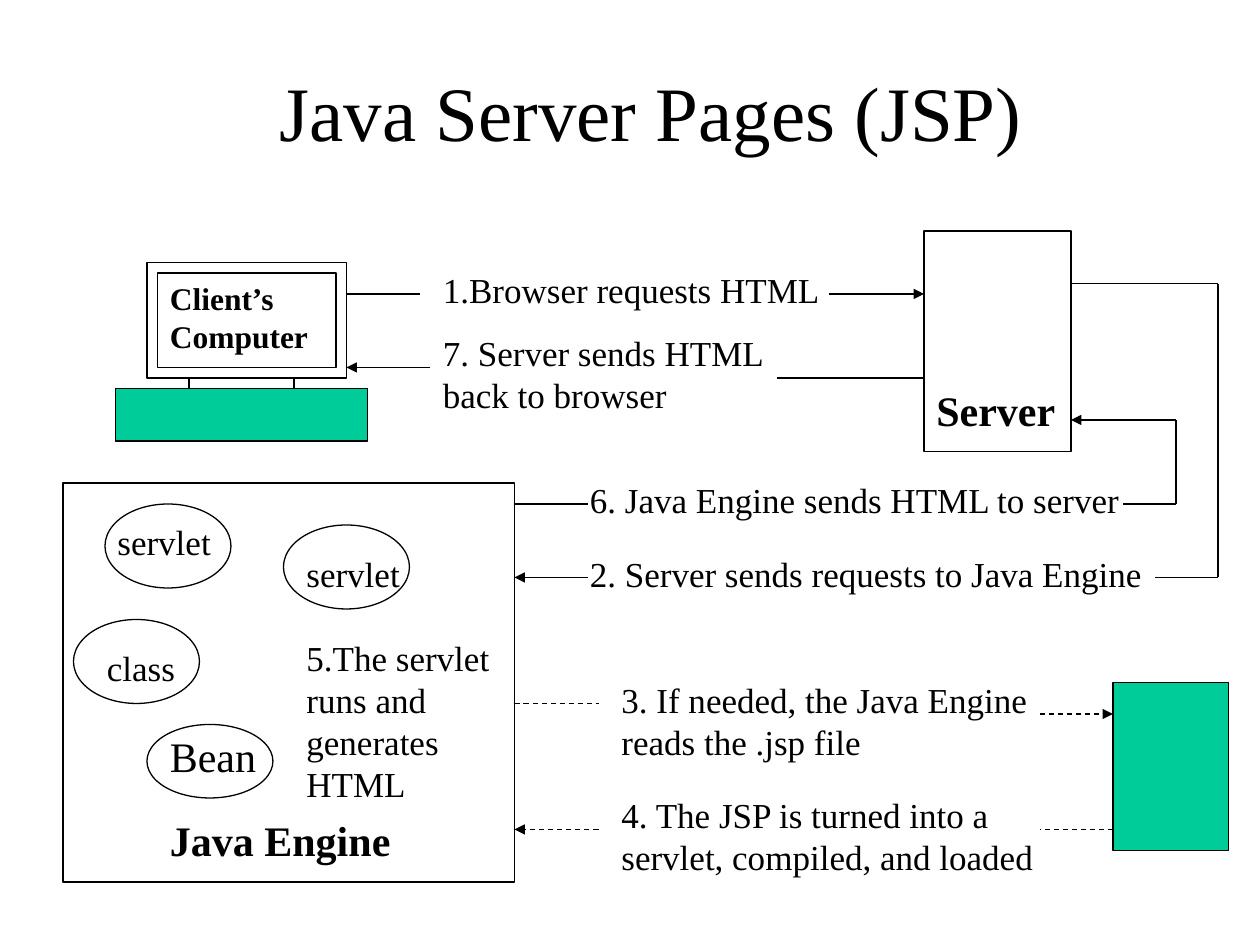
from lxml import etree
from pptx import Presentation
from pptx.dml.color import RGBColor
from pptx.enum.dml import MSO_LINE
from pptx.enum.shapes import MSO_CONNECTOR, MSO_SHAPE
from pptx.enum.text import MSO_ANCHOR, PP_ALIGN
from pptx.oxml.ns import qn
from pptx.util import Pt

RECT, OVAL = MSO_SHAPE.RECTANGLE, MSO_SHAPE.OVAL
STRAIGHT, DASH = MSO_CONNECTOR.STRAIGHT, MSO_LINE.DASH
FONT = "Times New Roman"
COLORS = {"ink": "000000", "green": "00CC99"}
LINE_WIDTH = 0.75

TITLE = ("Java Server Pages (JSP)", (66, 18, 612, 90), 44)

# preset, (left, top, width, height), fill
OUTLINES = [
    (RECT, (528, 132, 84, 126), None),      # server
    (RECT, (84, 150, 114, 66), None),       # client monitor
    (RECT, (90, 156, 102, 54), None),       # client screen
    (RECT, (66, 222, 144, 30), "green"),    # client base
    (RECT, (36, 276, 258, 228), None),      # Java Engine
    (RECT, (636, 390, 66, 96), "green"),    # .jsp file
    (OVAL, (60, 288, 72, 48), None),        # servlet
    (OVAL, (162, 300, 72, 48), None),       # servlet
    (OVAL, (42, 354, 72, 48), None),        # class
    (OVAL, (84, 414, 72, 42), None),        # Bean
]

# lines of text, (left, top, width, height), size, bold, wrap
LABELS = [
    (["Client’s Computer"], (90, 156, 114, 50), 18, True, True),
    (["Server"], (528, 216, 90, 36), 24, True, True),
    (["Java Engine"], (90, 462, 144, 36), 24, True, False),
    (["servlet"], (60, 294, 70, 32), 20, False, False),
    (["servlet"], (168, 312, 70, 32), 20, False, False),
    (["class"], (54, 366, 56, 32), 20, False, False),
    (["Bean"], (90, 414, 66, 36), 24, False, False),
    (["1.Browser requests HTML"], (246, 150, 232, 32), 20, False, False),
    (["2. Server sends requests to Java Engine"], (330, 312, 332, 32), 20, False, False),
    (["3. If needed, the Java Engine", "reads the .jsp file"],
     (348, 384, 253, 55), 20, False, False),
    (["4. The JSP is turned into a", "servlet, compiled, and loaded"],
     (348, 450, 253, 55), 20, False, False),
    (["5.The servlet runs and generates HTML"], (168, 360, 126, 104), 20, False, True),
    (["6. Java Engine sends HTML to server"], (330, 270, 320, 32), 20, False, False),
    (["7. Server sends HTML", "back to browser"], (246, 186, 205, 55), 20, False, False),
]

# points along each route, dashed, arrowhead at the last point
ROUTES = [
    ([(108, 216), (108, 222)], False, False),
    ([(168, 216), (168, 222)], False, False),
    ([(198, 168), (240, 168)], False, False),
    ([(474, 168), (528, 168)], False, True),
    ([(612, 162), (696, 162), (696, 330), (660, 330)], False, False),
    ([(336, 330), (294, 330)], False, True),
    ([(294, 402), (342, 402)], True, False),
    ([(594, 408), (636, 408)], True, True),
    ([(636, 474), (594, 474)], True, False),
    ([(342, 474), (294, 474)], True, True),
    ([(294, 288), (336, 288)], False, False),
    ([(642, 288), (672, 288), (672, 240), (612, 240)], False, True),
    ([(528, 216), (444, 216)], False, False),
    ([(246, 210), (198, 210)], False, True),
]


def color(name):
    return RGBColor.from_string(COLORS[name])


def points(values):
    return [Pt(value) for value in values]


def format_text(frame, size, bold=False, align=PP_ALIGN.LEFT):
    for paragraph in frame.paragraphs:
        paragraph.alignment = align
        for run in paragraph.runs:
            run.font.name = FONT
            run.font.size = Pt(size)
            run.font.bold = bold
            run.font.color.rgb = color("ink")


def set_line(line):
    line.color.rgb = color("ink")
    line.width = Pt(LINE_WIDTH)


def add_title(slide, text, box, size):
    title = slide.shapes.title
    title.left, title.top, title.width, title.height = points(box)
    title.text_frame.text = text
    title.text_frame.vertical_anchor = MSO_ANCHOR.MIDDLE
    format_text(title.text_frame, size, align=PP_ALIGN.CENTER)


def add_outline(slide, preset, box, fill):
    shape = slide.shapes.add_shape(preset, *points(box))
    shape.shadow.inherit = False
    set_line(shape.line)
    if fill:
        shape.fill.solid()
        shape.fill.fore_color.rgb = color(fill)
    else:
        shape.fill.background()


def add_label(slide, lines, box, size, bold, wrap):
    frame = slide.shapes.add_textbox(*points(box)).text_frame
    frame.word_wrap = wrap
    frame.text = "\n".join(lines)
    format_text(frame, size, bold)


def add_segment(slide, start, end, dashed, arrow):
    segment = slide.shapes.add_connector(STRAIGHT, *points(start + end))
    set_line(segment.line)
    if dashed:
        segment.line.dash_style = DASH
    if arrow:
        etree.SubElement(segment.line._get_or_add_ln(), qn("a:tailEnd"), type="triangle")
    etree.SubElement(segment._element.spPr, qn("a:effectLst"))


def add_route(slide, stops, dashed, arrow):
    """Draw one segment per pair of stops, with any arrowhead on the last."""
    for start, end in zip(stops, stops[1:]):
        add_segment(slide, start, end, dashed, arrow and end == stops[-1])


def main():
    deck = Presentation()
    deck.slide_width, deck.slide_height = Pt(720), Pt(540)
    slide = deck.slides.add_slide(deck.slide_layouts[5])
    add_title(slide, *TITLE)
    for outline in OUTLINES:
        add_outline(slide, *outline)
    for label in LABELS:
        add_label(slide, *label)
    for route in ROUTES:
        add_route(slide, *route)
    deck.save("out.pptx")


if __name__ == "__main__":
    main()
